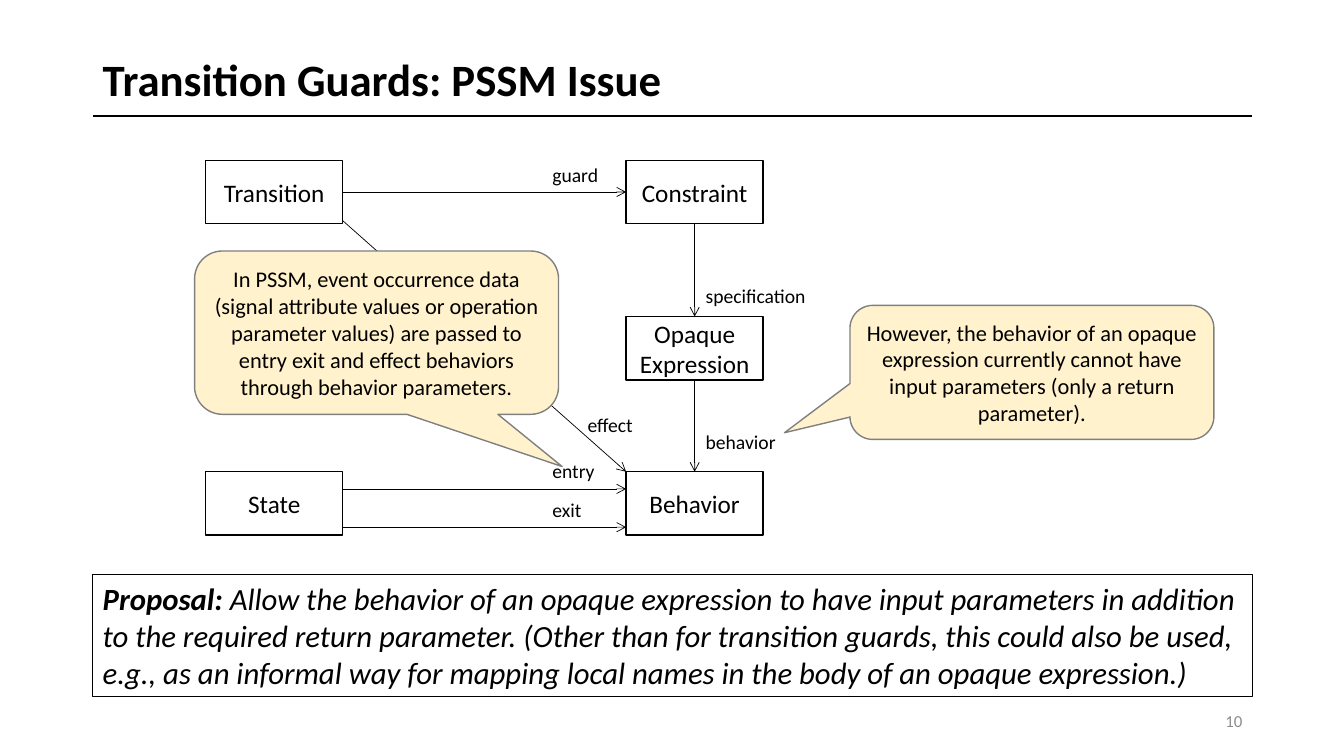
from dataclasses import dataclass
from lxml.etree import SubElement
from pptx import Presentation
from pptx.dml.color import RGBColor as RGB
from pptx.enum.shapes import MSO_CONNECTOR as CONN, MSO_SHAPE as SHAPE
from pptx.enum.text import MSO_ANCHOR as ANCHOR, PP_ALIGN as ALIGN
from pptx.oxml.ns import qn
from pptx.util import Inches, Pt


@dataclass
class Theme:
    font: str = "Calibri"
    ink: RGB = RGB(0, 0, 0)
    paper: RGB = RGB(255, 255, 255)
    note: RGB = RGB(0xFF, 0xF2, 0xCC)
    edge: RGB = RGB(0x80, 0x80, 0x80)
    faint: RGB = RGB(0x8C, 0x8C, 0x8C)
    title: int = 32
    lead: int = 22
    node: int = 18
    call: int = 16
    label: int = 14
    page: int = 12


theme = Theme()
deck = Presentation()
deck.slide_width, deck.slide_height = Inches(13.33), Inches(7.5)
slide = deck.slides.add_slide(deck.slide_layouts[6])
shapes = slide.shapes


def put(kind, at, runs, size, align=ALIGN.LEFT, anchor=ANCHOR.MIDDLE,
        color=theme.ink, fill=None, line=None, width=1, wrap=True):
    """Add a text box (kind None) or preset shape; runs are (text, font values)."""
    at = [Inches(v) for v in at]
    if kind is None:
        shape = shapes.add_textbox(*at)
    else:
        shape = shapes.add_shape(kind, *at)
        shape.shadow.inherit = False
        shape.line.color.rgb = line
        shape.line.width = Pt(width)
        if fill is None:
            shape.fill.background()
        else:
            shape.fill.solid()
            shape.fill.fore_color.rgb = fill
    frame = shape.text_frame
    frame.word_wrap = wrap
    frame.vertical_anchor = anchor
    para = frame.paragraphs[0]
    para.alignment = align
    for text, style in runs:
        run = para.add_run()
        run.text = text
        run.font.color.rgb = color
        look = {"name": theme.font, "size": Pt(size), **style}
        for key, value in look.items():
            setattr(run.font, key, value)
    return shape


def link(start, end, width=0.5, arrow=True):
    line = shapes.add_connector(CONN.STRAIGHT, *[Inches(v) for v in (*start, *end)])
    line.line.color.rgb = theme.ink
    line.line.width = Pt(width)
    props = line.line._get_or_add_ln()
    if arrow:
        SubElement(props, qn("a:tailEnd"), type="arrow")
    SubElement(line._element.spPr, qn("a:effectLst"))
    return line


# Heading
left, wide = 0.92, 11.5
link((left, 1.15), (left + wide, 1.15), width=1, arrow=False)
put(None, (left, 0.4, wide, 0.75),
    [("Transition Guards: PSSM Issue", {"bold": True})], theme.title)

# Nodes
col1, col2 = 2.04, 6.21
row1, row2, row3 = 1.59, 3.14, 4.68
box_w, box_h = 1.36, 0.63
nodes = {}
for name, x, y in [
    ("State", col1, row3),
    ("Behavior", col2, row3),
    ("Transition", col1, row1),
    ("Constraint", col2, row1),
    ("Opaque Expression", col2, row2),
]:
    nodes[name] = put(SHAPE.RECTANGLE, (x, y, box_w, box_h), [(name, {})],
                      theme.node, ALIGN.CENTER, fill=theme.paper, line=theme.ink)

# Links between side middles
mid = col2 + box_w / 2
side = col1 + box_w
for source, out, target, into, start, end in [
    ("Transition", 3, "Constraint", 1, (side, row1 + box_h / 2), (col2, row1 + box_h / 2)),
    ("Constraint", 2, "Opaque Expression", 0, (mid, row1 + box_h), (mid, row2)),
    ("Opaque Expression", 2, "Behavior", 0, (mid, row2 + box_h), (mid, row3)),
]:
    line = link(start, end)
    line.begin_connect(nodes[source], out)
    line.end_connect(nodes[target], into)

# Links with free ends: entry, exit, effect
for y1, y2 in [(4.85, 4.85), (5.23, 5.23), (2.19, row3)]:
    link((side, y1), (col2, y2))

for text, x, y, w in [
    ("guard", 5.38, 1.57, 0.66),
    ("entry", 5.38, 4.5, 0.63),
    ("exit", 5.38, 4.89, 0.5),
    ("effect", 5.73, 4.05, 0.66),
    ("specification", 6.9, 2.77, 1.21),
    ("behavior", 6.9, 4.22, 0.91),
]:
    put(None, (x, y, w, 0.34), [(text, {})], theme.label, anchor=ANCHOR.TOP, wrap=False)

# Proposal and page number
put(SHAPE.RECTANGLE, (left, 5.7, wide, 1.21), [
    ("Proposal:", {"bold": True, "italic": True}),
    (" Allow the behavior of an opaque expression to have input parameters in addition "
     "to the required return parameter. (Other than for transition guards, this could "
     "also be used, e.g., as an informal way for mapping local names in the body of an "
     "opaque expression.)", {"italic": True}),
], theme.lead, anchor=ANCHOR.TOP, line=theme.ink, width=0.75)
put(None, (9.42, 6.95, 3, 0.4), [("10", {})], theme.page, ALIGN.RIGHT, color=theme.faint)

# Callouts
for at, tip, text in [
    ((8.43, 3.03, 3.61, 1.33), (-0.68, 0.45),
     "However, the behavior of an opaque expression currently cannot have input "
     "parameters (only a return parameter)."),
    ((1.93, 2.49, 3.61, 1.62), (0.51, 0.82),
     "In PSSM, event occurrence data (signal attribute values or operation parameter "
     "values) are passed to entry exit and effect behaviors through behavior parameters."),
]:
    call = put(SHAPE.ROUNDED_RECTANGULAR_CALLOUT, at, [(text, {})], theme.call,
               ALIGN.CENTER, fill=theme.note, line=theme.edge)
    for i, value in enumerate((*tip, 0.17)):
        call.adjustments[i] = value

deck.save("out.pptx")
